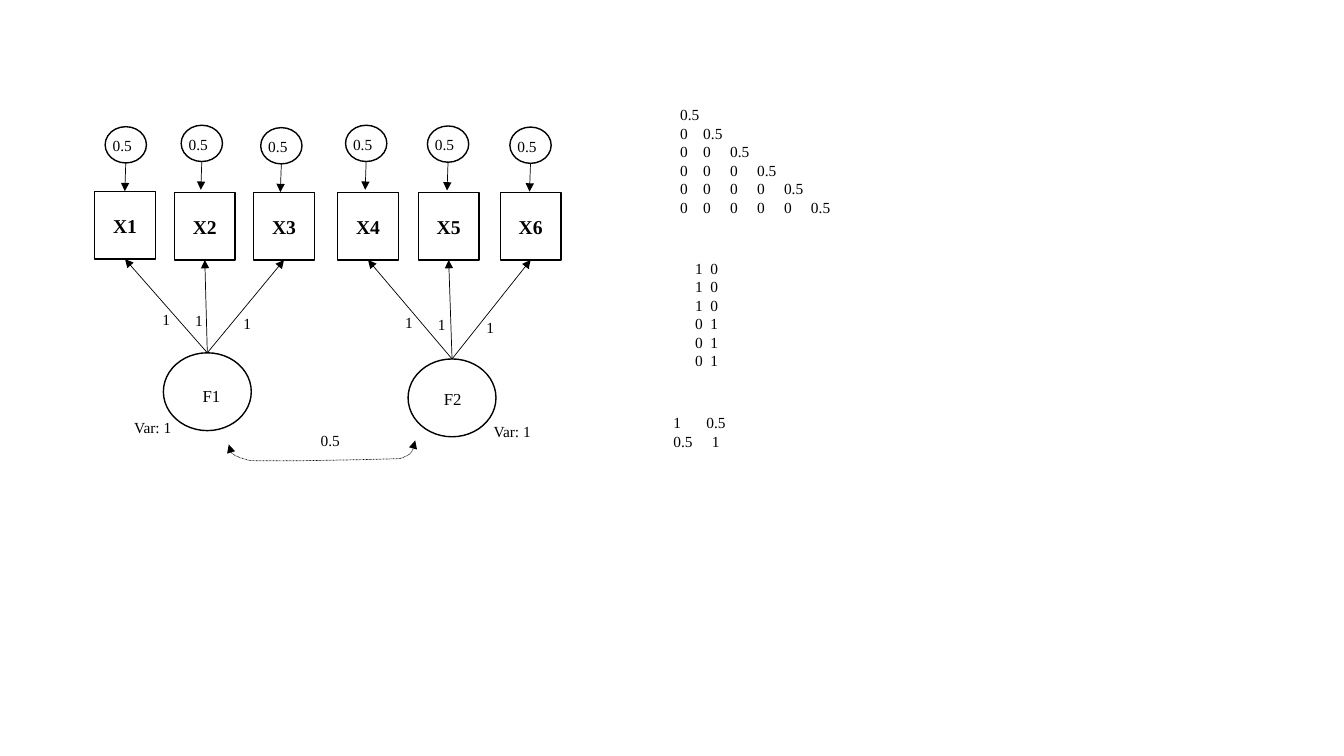
from dataclasses import dataclass

from lxml import etree
from pptx import Presentation
from pptx.dml.color import RGBColor
from pptx.enum import dml, shapes, text
from pptx.oxml import ns
from pptx.util import Pt


@dataclass(frozen=True)
class Theme:
    ink: RGBColor = RGBColor(0, 0, 0)
    font: str = "Times New Roman"
    small: float = 11
    factor: float = 12
    indicator: float = 14
    outline: float = 1
    arrow: float = 0.5


THEME = Theme()

BOX_W, BOX_H = 43.4, 48.2
ERROR_W, ERROR_H = 29.5, 25.9
FACTOR_W, FACTOR_H = 62.8, 55.6

# name, box left, box top, error left, error top
INDICATORS = [
    ("X1", 67.6, 136.9, 75.1, 90.5),
    ("X2", 124.6, 137.5, 129.4, 89.5),
    ("X3", 181.2, 137.5, 186.2, 91.2),
    ("X4", 241.2, 137.5, 246.8, 89.5),
    ("X5", 298.8, 137.5, 305.3, 90),
    ("X6", 357.3, 137.5, 364.2, 90.8),
]
# name, left, top, text shift, first loading label, variance label, indicators
FACTORS = [
    ("F1", 116.7, 252, (3, 3), (115.9, 221.2), (95.8, 298.9), INDICATORS[:3]),
    ("F2", 291.5, 256.4, (0.5, 0.5), (289.4, 224), (352.6, 301.7), INDICATORS[3:]),
]
LOADING_STEPS = [(0, 0), (23.4, 1.1), (58, 2.9)]

COVARIANCE_CURVE = [
    [(296.6, 314.6), (293, 318.2), (299.5, 323.3), (285.8, 327.6)],
    [(285.8, 327.6), (265.7, 328.3), (199.4, 329.8), (178.6, 329)],
    [(178.6, 329), (157.7, 324), (167, 319.7), (163.4, 317.5)],
]


def set_attributes(target, values):
    for name, value in values.items():
        setattr(target, name, value)


def add_run(p, content, size, bold=False):
    r = p.add_run()
    r.text = content
    set_attributes(r.font, dict(name=THEME.font, size=Pt(size), bold=bold))
    r.font.color.rgb = THEME.ink


def style_line(line, width):
    line.color.rgb = THEME.ink
    line.width = Pt(width)


def add_arrowheads(shape, *ends):
    ln = shape.line._get_or_add_ln()
    for end in ends:
        etree.SubElement(ln, ns.qn(f"a:{end}"), type="triangle")


def add_node(s, kind, box, content, size, bold=False, shift=(0, 0)):
    """Outlined shape whose centred text is moved by shift."""
    sp = s.shapes.add_shape(kind, *map(Pt, box))
    sp.shadow.inherit = False
    sp.fill.background()
    style_line(sp.line, THEME.outline)
    dx, dy = shift
    set_attributes(sp.text_frame, dict(
        margin_left=Pt(max(2 * dx, 0)), margin_right=Pt(max(-2 * dx, 0)),
        margin_top=Pt(max(2 * dy, 0)), margin_bottom=Pt(max(-2 * dy, 0)),
        word_wrap=False, vertical_anchor=text.MSO_ANCHOR.MIDDLE))
    p = sp.text_frame.paragraphs[0]
    p.alignment = text.PP_ALIGN.CENTER
    add_run(p, content, size, bold)


def add_arrow(s, start, end):
    line = s.shapes.add_connector(shapes.MSO_CONNECTOR.STRAIGHT, *map(Pt, start + end))
    style_line(line.line, THEME.arrow)
    add_arrowheads(line, "tailEnd")
    etree.SubElement(line._element.spPr, ns.qn("a:effectLst"))


def add_text(s, box, rows, stops=()):
    """Text box with one paragraph per row; stops holds each row's tab positions."""
    tf = s.shapes.add_textbox(*map(Pt, box)).text_frame
    set_attributes(tf, dict(margin_left=0, margin_right=0, margin_top=0,
                            margin_bottom=0, word_wrap=True))
    for i, row in enumerate(rows):
        p = tf.add_paragraph() if i else tf.paragraphs[0]
        if stops:
            tabs = etree.SubElement(p._p.get_or_add_pPr(), ns.qn("a:tabLst"))
            for stop in stops[i]:
                etree.SubElement(tabs, ns.qn("a:tab"), pos=str(Pt(stop)), algn="l")
        add_run(p, row, THEME.small)


def add_matrix(s, box, matrix, stops):
    add_text(s, box, ["\t".join(row) for row in matrix], stops)


def bezier_point(curve, t):
    weights = ((1 - t) ** 3, 3 * t * (1 - t) ** 2, 3 * t ** 2 * (1 - t), t ** 3)
    return tuple(Pt(sum(w * point[axis] for w, point in zip(weights, curve)))
                 for axis in (0, 1))


def add_covariance_arrow(s, curves, steps=8):
    points = [bezier_point(c, i / steps) for c in curves for i in range(1, steps + 1)]
    builder = s.shapes.build_freeform(*bezier_point(curves[0], 0))
    builder.add_line_segments(points, close=False)
    sp = builder.convert_to_shape()
    sp.shadow.inherit = False
    sp.fill.background()
    style_line(sp.line, THEME.arrow)
    sp.line.dash_style = dml.MSO_LINE.ROUND_DOT
    add_arrowheads(sp, "headEnd", "tailEnd")


def add_indicator(s, name, left, top, error_left, error_top):
    add_node(s, shapes.MSO_SHAPE.RECTANGLE, (left, top, BOX_W, BOX_H),
             name, THEME.indicator, bold=True)
    add_node(s, shapes.MSO_SHAPE.OVAL, (error_left, error_top, ERROR_W, ERROR_H),
             "0.5", THEME.small, shift=(-2.5, 0.5))
    x, y = error_left + ERROR_W / 2, error_top + ERROR_H
    add_arrow(s, (x, y), (x - 0.7, y + 20.2))


def add_factor(s, name, left, top, shift, loading, variance, indicators):
    add_node(s, shapes.MSO_SHAPE.OVAL, (left, top, FACTOR_W, FACTOR_H),
             name, THEME.factor, shift=shift)
    add_text(s, (*variance, 33, 13.5), ["Var: 1"])
    for (_, box_left, box_top, *_), (dx, dy) in zip(indicators, LOADING_STEPS):
        add_arrow(s, (left + FACTOR_W / 2, top),
                  (box_left + BOX_W / 2, box_top + BOX_H))
        add_text(s, (loading[0] + dx, loading[1] + dy, 6.5, 13.5), ["1"])


def main():
    prs = Presentation()
    set_attributes(prs, dict(slide_width=Pt(960), slide_height=Pt(540)))
    s = prs.slides.add_slide(prs.slide_layouts[6])

    for indicator in INDICATORS:
        add_indicator(s, *indicator)
    for factor in FACTORS:
        add_factor(s, *factor)
    add_covariance_arrow(s, COVARIANCE_CURVE)
    add_text(s, (229, 308.2, 33, 13.5), ["0.5"])

    size = len(INDICATORS)
    errors = [["0"] * i + ["0.5"] for i in range(size)]
    error_stops = [16.5 + 19.25 * i for i in range(size - 1)]
    add_matrix(s, (485.8, 75.2, 198.7, 80), errors, [error_stops] * size)
    loadings = [["1", "0"]] * 3 + [["0", "1"]] * 3
    add_matrix(s, (496.5, 185, 26, 80), loadings, [[11]] * size)
    add_matrix(s, (481, 295.2, 46, 26.7), [["1", "0.5"], ["0.5", "1"]], [[23.5], [27.5]])

    prs.save("out.pptx")


if __name__ == "__main__":
    main()
